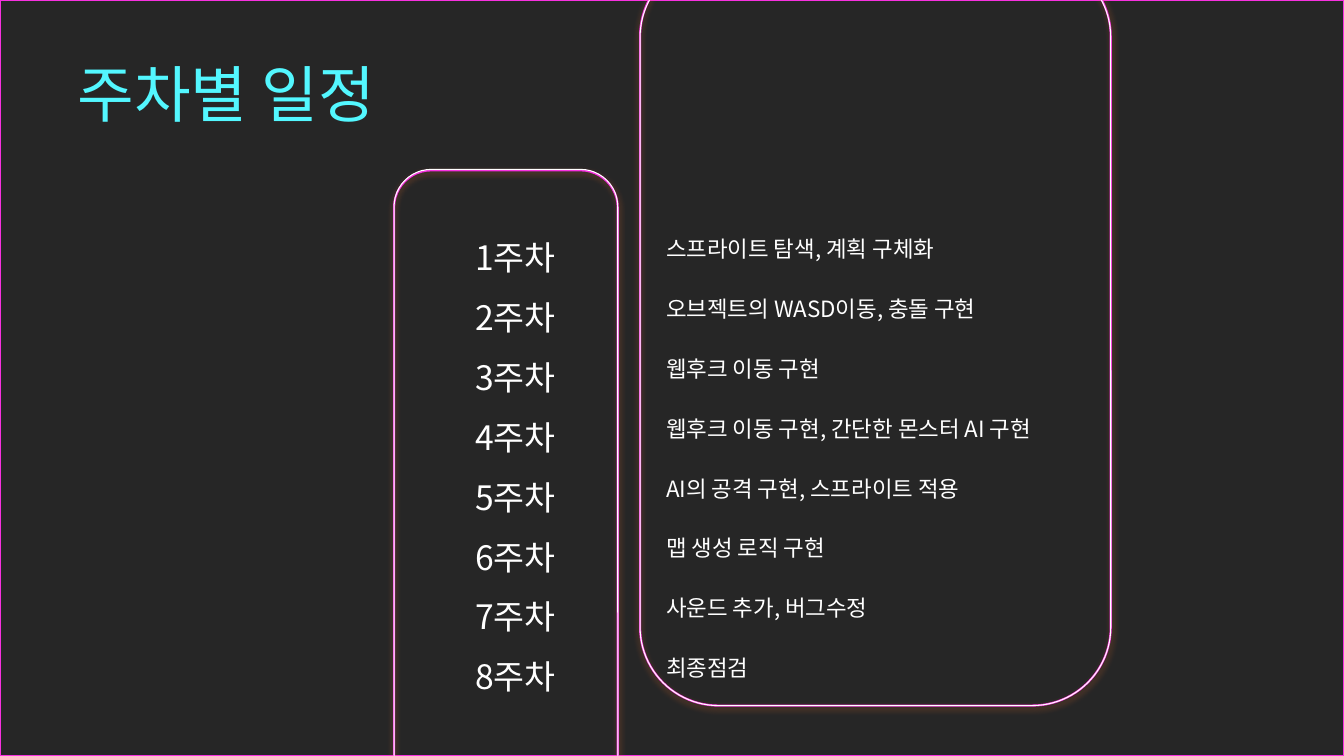
from lxml import etree
from pptx import Presentation
from pptx.dml.color import RGBColor
from pptx.enum.shapes import MSO_SHAPE
from pptx.enum.text import MSO_ANCHOR, MSO_AUTO_SIZE, PP_ALIGN
from pptx.oxml import parse_xml
from pptx.oxml.ns import nsdecls, qn
from pptx.util import Inches, Pt

RECT, ROUND = MSO_SHAPE.RECTANGLE, MSO_SHAPE.ROUNDED_RECTANGLE
LEFT, CENTER = PP_ALIGN.LEFT, PP_ALIGN.CENTER
MIDDLE, NO_FIT = MSO_ANCHOR.MIDDLE, MSO_AUTO_SIZE.NONE
FONT = "Noto Sans CJK KR"
DARK, PINK, WHITE, CYAN, GLOW = "262626", "F731DF", "FFFFFF", "53F7FF", "E97132"
COLS, ROWS = 96, 54
PLAIN = "{2D5ABB26-0587-4C30-8999-92F81FD0307C}"
TITLE_ONLY = 5

PLANS = [
    "스프라이트 탐색, 계획 구체화",
    "오브젝트의 WASD이동, 충돌 구현",
    "웹후크 이동 구현",
    "웹후크 이동 구현, 간단한 몬스터 AI 구현",
    "AI의 공격 구현, 스프라이트 적용",
    "맵 생성 로직 구현",
    "사운드 추가, 버그수정",
    "최종점검",
]


def color(code):
    return RGBColor.from_string(code)


def write(frame, words, size, ink=WHITE, align=LEFT, space=None):
    para = frame.paragraphs[0]
    para.alignment, para.line_spacing = align, space
    run = para.add_run()
    run.text = words
    run.font.name, run.font.size = FONT, Pt(size)
    run.font.color.rgb = color(ink)
    etree.SubElement(run.font._element, qn("a:ea"), typeface=FONT)


class Deck:
    """Holds the slide and its grid of 96 columns by 54 rows."""

    def __init__(self):
        self.file = Presentation()
        self.file.slide_width, self.file.slide_height = Inches(13.33), Inches(7.5)
        self.col = self.file.slide_width / COLS
        self.row = self.file.slide_height / ROWS
        self.slide = self.file.slides.add_slide(self.file.slide_layouts[TITLE_ONLY])

    def place(self, x, y, wide, high):
        """Turn grid units into lengths."""
        return (round(x * self.col), round(y * self.row),
                round(wide * self.col), round(high * self.row))

    def box(self, kind, area, line, width, fill=None, glow=None):
        shape = self.slide.shapes.add_shape(kind, *self.place(*area))
        shape.shadow.inherit = False
        shape.line.color.rgb, shape.line.width = color(line), Pt(width)
        if fill:
            shape.fill.solid()
            shape.fill.fore_color.rgb = color(fill)
        else:
            shape.fill.background()
        if glow:
            shape.element.spPr.find(qn("a:effectLst")).append(parse_xml(
                f'<a:outerShdw {nsdecls("a")} blurRad="{Pt(4.5)}" dist="{Pt(1.5)}" '
                f'dir="5400000" rotWithShape="0"><a:srgbClr val="{glow}">'
                '<a:alpha val="50000"/></a:srgbClr></a:outerShdw>'))

    def title(self, words, area):
        shape = self.slide.shapes.title
        shape.left, shape.top, shape.width, shape.height = self.place(*area)
        frame = shape.text_frame
        frame.word_wrap, frame.auto_size = True, NO_FIT
        frame.vertical_anchor = MIDDLE
        frame.margin_left = frame.margin_right = Inches(0.13)
        frame.margin_top = frame.margin_bottom = Inches(0.13)
        write(frame, words, 44, CYAN, CENTER, 0.9)
        shape.element.getparent().append(shape.element)  # in front of the frames

    def table(self, plans, area, widths):
        item = self.slide.shapes.add_table(len(plans), len(widths), *self.place(*area))
        table = item.table
        table.first_row = table.horz_banding = False
        item.element.find(".//" + qn("a:tableStyleId")).text = PLAIN
        for column, width in zip(table.columns, widths):
            column.width = round(width * self.col)
        for week, (row, plan) in enumerate(zip(table.rows, plans), 1):
            for cell in row.cells:
                cell.fill.background()
            write(row.cells[0].text_frame, f"{week}주차", 24, align=CENTER)
            write(row.cells[1].text_frame, plan, 16)


def main():
    deck = Deck()
    deck.box(RECT, (0, 0, COLS, ROWS), PINK, 1.5, fill=DARK)
    deck.box(ROUND, (45.72, -3.02, 33.62, 53.42), PINK, 1.5, glow=GLOW)
    deck.box(ROUND, (28.15, 12.17, 15.98, 44.86), PINK, 1.5, glow=GLOW)
    deck.box(ROUND, (28.15, 12.1, 15.98, 44.86), WHITE, 0.75)
    deck.title("주차별 일정", (-3.02, 3.6, 38.38, 6.77))
    deck.table(PLANS, (26.78, 16.2, 68.55, 34.2), (20.09, 48.46))
    deck.box(ROUND, (45.72, -2.95, 33.62, 53.35), WHITE, 0.75)
    deck.file.save("out.pptx")


if __name__ == "__main__":
    main()
